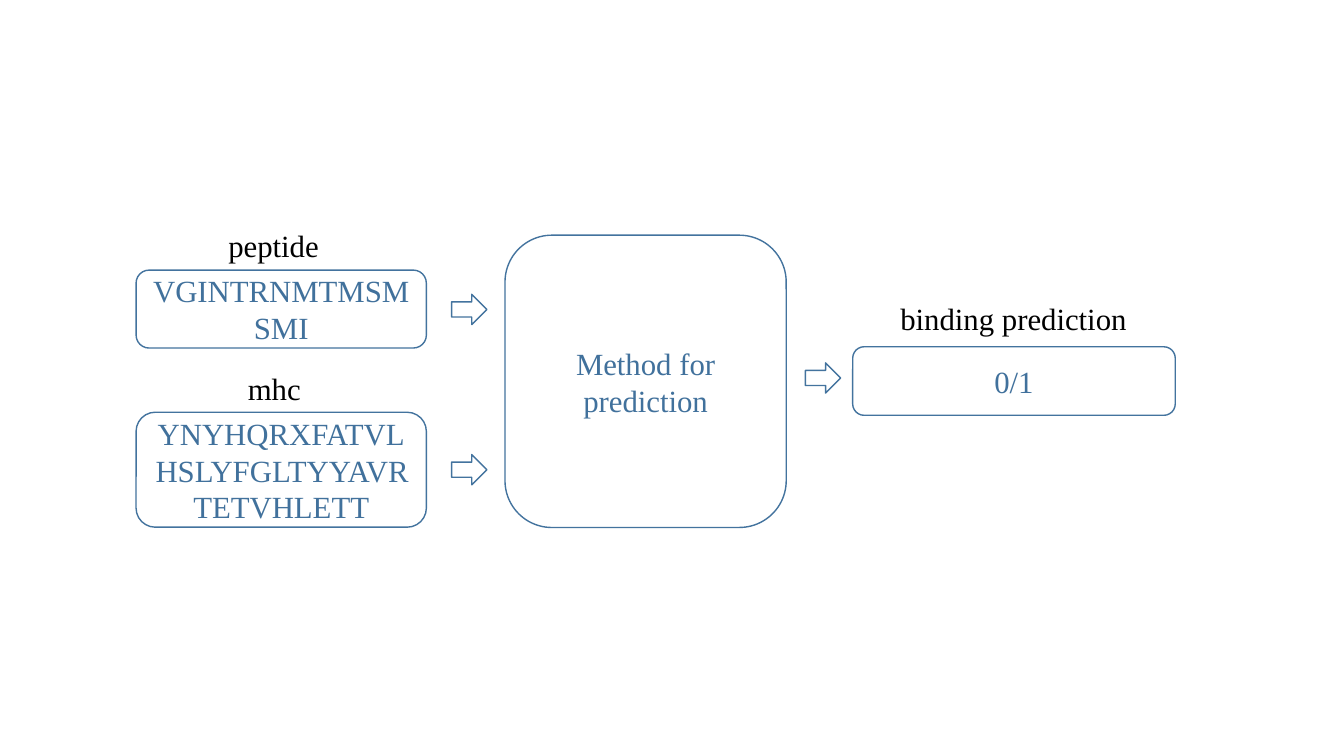
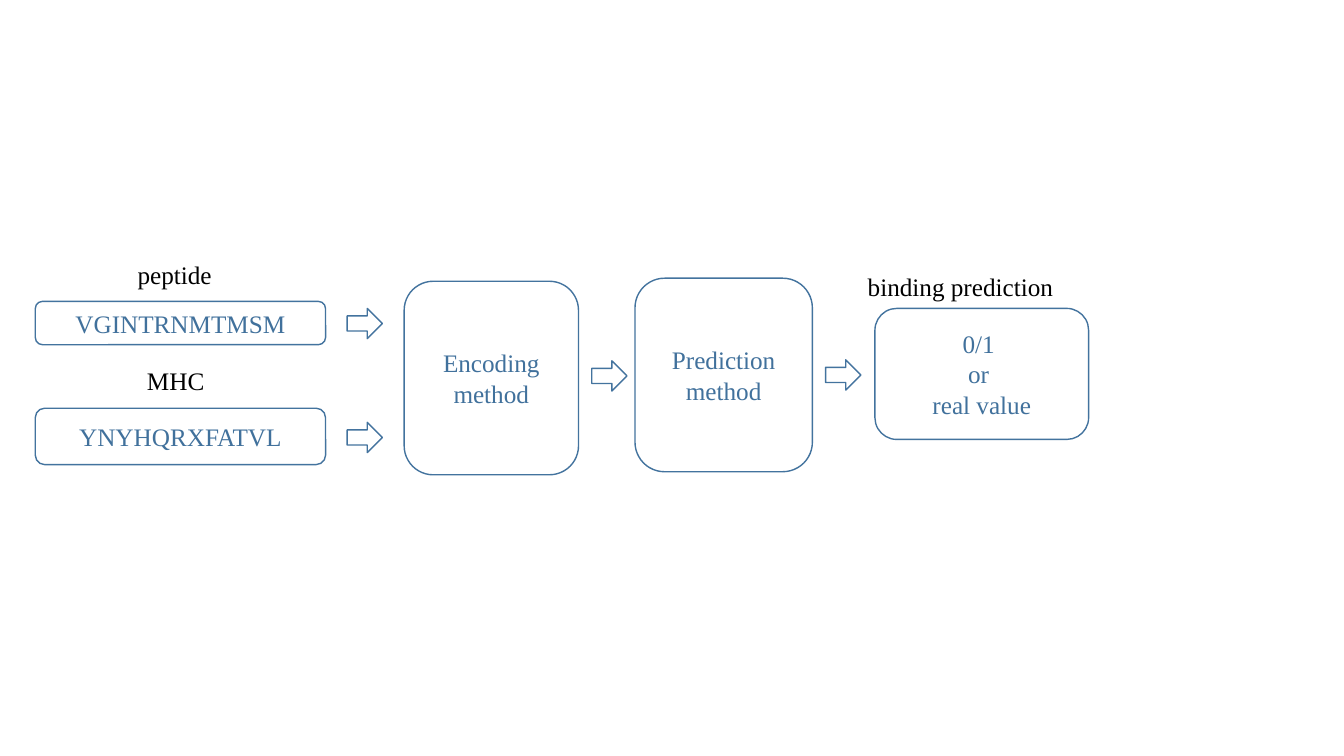
from pptx import Presentation
from pptx.dml.color import RGBColor
from pptx.enum.shapes import MSO_SHAPE
from pptx.enum.text import MSO_ANCHOR, MSO_AUTO_SIZE, PP_ALIGN
from pptx.util import Inches, Pt

ROUNDED = MSO_SHAPE.ROUNDED_RECTANGLE
ARROW = MSO_SHAPE.RIGHT_ARROW
MIDDLE = MSO_ANCHOR.MIDDLE
GROW = MSO_AUTO_SIZE.SHAPE_TO_FIT_TEXT
CENTER = PP_ALIGN.CENTER
LEFT = PP_ALIGN.LEFT

OUTLINE = RGBColor(0x43, 0x73, 0x9E)
STEP_TEXT = RGBColor(0x41, 0x71, 0x9C)
LABEL_TEXT = RGBColor(0x00, 0x00, 0x00)
FONT = "Times New Roman"
COLUMNS = 40
INPUT_WIDTH = 8.64
ARROW_SIZE = (1.05, 0.9)


class Pipeline:
    def __init__(self):
        self.deck = Presentation()
        self.deck.slide_width = Inches(40 / 3)
        self.deck.slide_height = Inches(7.5)
        self.cell = self.deck.slide_width / COLUMNS

    def start(self, text_size):
        self.slide = self.deck.slides.add_slide(self.deck.slide_layouts[6])
        self.text_size = text_size

    def grid(self, *cells):
        return [round(count * self.cell) for count in cells]

    def set_text(self, frame, lines, color, align):
        frame.word_wrap = True
        frame.text = "\n".join(lines)
        for paragraph in frame.paragraphs:
            paragraph.alignment = align
            paragraph.font.name = FONT
            paragraph.font.size = Pt(self.text_size)
            paragraph.font.color.rgb = color

    def outline(self, preset, *cells):
        figure = self.slide.shapes.add_shape(preset, *self.grid(*cells))
        figure.shadow.inherit = False
        figure.fill.background()
        figure.line.color.rgb = OUTLINE
        figure.line.width = Pt(1)
        return figure

    def step(self, column, row, width, height, *lines):
        frame = self.outline(ROUNDED, column, row, width, height).text_frame
        frame.vertical_anchor = MIDDLE
        self.set_text(frame, lines, STEP_TEXT, CENTER)

    def label(self, column, row, width, text):
        height = self.text_size / 15
        frame = self.slide.shapes.add_textbox(
            *self.grid(column, row, width, height)).text_frame
        frame.auto_size = GROW
        self.set_text(frame, [text], LABEL_TEXT, LEFT)

    def arrows(self, *places):
        for column, row in places:
            self.outline(ARROW, column, row, *ARROW_SIZE)


def overview(pipeline):
    pipeline.start(22)
    pipeline.label(6.5, 6.6, 3.7, "peptide")
    pipeline.step(4.05, 8.04, INPUT_WIDTH, 2.32, "VGINTRNMTMSMSMI")
    pipeline.label(7.08, 10.86, 2.6, "mhc")
    pipeline.step(4.05, 12.27, INPUT_WIDTH, 3.42,
                  "YNYHQRXFATVLHSLYFGLTYYAVRTETVHLETT")
    pipeline.step(15.03, 7, 8.37, 8.7, "Method for prediction")
    pipeline.label(26.5, 8.76, 7.8, "binding prediction")
    pipeline.step(25.38, 10.32, 9.6, 2.04, "0/1")
    pipeline.arrows((13.44, 8.76), (13.44, 13.53), (23.97, 10.8))


def detailed(pipeline):
    pipeline.start(18)
    pipeline.label(3.8, 7.56, 3.7, "peptide")
    pipeline.step(1.05, 8.97, INPUT_WIDTH, 1.29, "VGINTRNMTMSM")
    pipeline.label(4.08, 10.74, 3.12, "MHC")
    pipeline.step(1.05, 12.15, INPUT_WIDTH, 1.68, "YNYHQRXFATVL")
    pipeline.step(12.03, 8.37, 5.19, 5.76, "Encoding method")
    pipeline.step(18.9, 8.28, 5.28, 5.76, "Prediction method")
    pipeline.label(25.53, 7.92, 7.3, "binding prediction")
    pipeline.step(26.04, 9.18, 6.36, 3.9, "0/1 ", "or ", "real value")
    pipeline.arrows((10.33, 9.18), (10.33, 12.57),
                    (17.61, 10.74), (24.57, 10.71))


def main():
    pipeline = Pipeline()
    overview(pipeline)
    detailed(pipeline)
    pipeline.deck.save("out.pptx")


if __name__ == "__main__":
    main()
